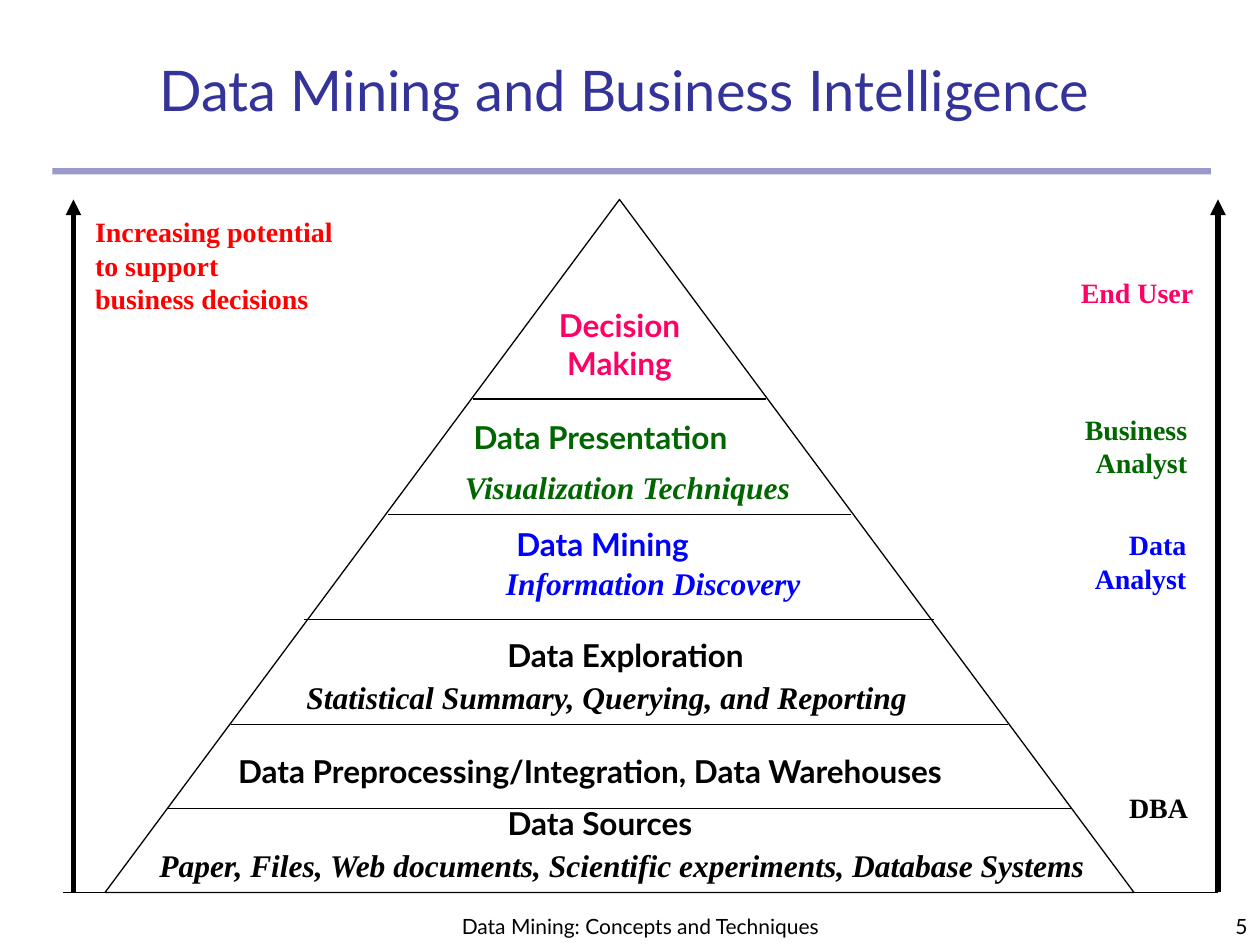
from lxml import etree
from pptx import Presentation
from pptx.dml.color import RGBColor
from pptx.enum.shapes import MSO_CONNECTOR, MSO_SHAPE
from pptx.enum.text import MSO_ANCHOR, PP_ALIGN
from pptx.oxml.ns import qn
from pptx.util import Pt

LEFT, MID, RIGHT = PP_ALIGN.LEFT, PP_ALIGN.CENTER, PP_ALIGN.RIGHT
TOP, CENTER, BOTTOM = MSO_ANCHOR.TOP, MSO_ANCHOR.MIDDLE, MSO_ANCHOR.BOTTOM
STRAIGHT = MSO_CONNECTOR.STRAIGHT
SANS, SERIF = "Lato", "Times New Roman"
BLACK, NAVY, RED = "000000", "333399", "FF0000"
PINK, GREEN, BLUE = "FF0066", "006600", "0000FF"

APEX, PEAK, BASE, HALF = 354, 114, 510, 294
LEVELS = [(228, 84), (294, 132), (354, 180), (414, 222), (462, 258)]
ARROWS = [42, 696]

LAYERS = [
    ("Decision Making", 306, 171.5, 96, PINK, MID),
    ("Data Presentation", 263.5, 235.5, 179, GREEN, LEFT),
    ("Data Mining", 288, 296.5, 140, BLUE, LEFT),
    ("Data Exploration", 265, 360, 185, BLACK, MID),
    ("Data Preprocessing/Integration, Data Warehouses", 129, 426, 468, BLACK, LEFT),
    ("Data Sources", 283, 456, 132, BLACK, LEFT),
]
DETAILS = [
    ("Visualization Techniques", 258.5, 264, 203, GREEN),
    ("Information Discovery", 282, 318.5, 183, BLUE),
    ("Statistical Summary, Querying, and Reporting", 168, 384, 360, BLACK),
    ("Paper, Files, Web documents, Scientific experiments, Database Systems",
     84, 480, 561, BLACK),
]
ROLES = [
    ("End User", 689, 154, PINK),
    ("Business\nAnalyst", 685.5, 232, GREEN),
    ("Data\nAnalyst", 685, 298, BLUE),
    ("DBA", 686, 448, BLACK),
]

deck = Presentation()
deck.slide_width, deck.slide_height = Pt(720), Pt(540)
slide = deck.slides.add_slide(deck.slide_layouts[6])
shapes = slide.shapes


def tint(code):
    return RGBColor.from_string(code)


def write(text, x, y, w, h=29, size=18, face=SANS, color=BLACK,
          bold=True, slant=False, align=LEFT, anchor=TOP):
    box = shapes.add_textbox(Pt(x), Pt(y), Pt(w), Pt(h))
    frame = box.text_frame
    frame.word_wrap = True
    frame.vertical_anchor = anchor
    if align == LEFT:
        frame.margin_right = 0
    elif align == RIGHT:
        frame.margin_left = 0
    for n, line in enumerate(text.split("\n")):
        para = frame.add_paragraph() if n else frame.paragraphs[0]
        para.alignment = align
        run = para.add_run()
        run.text = line
        font = run.font
        font.name, font.size = face, Pt(size)
        font.bold, font.italic = bold, slant
        font.color.rgb = tint(color)


def rule(x1, y1, x2, y2, width=0.75, head=False):
    line = shapes.add_connector(STRAIGHT, Pt(x1), Pt(y1), Pt(x2), Pt(y2))
    line.line.color.rgb = tint(BLACK)
    line.line.width = Pt(width)
    if head:
        etree.SubElement(line.line._get_or_add_ln(), qn("a:tailEnd"), type="triangle")
    etree.SubElement(line._element.spPr, qn("a:effectLst"))


bar = shapes.add_shape(MSO_SHAPE.RECTANGLE, Pt(30), Pt(96), Pt(662), Pt(3.6))
bar.shadow.inherit = False
bar.fill.solid()
bar.fill.fore_color.rgb = tint("9999CC")
bar.line.fill.background()

write("Data Mining and Business Intelligence", 15, 30, 684, 42, size=32,
      color=NAVY, bold=False, align=MID, anchor=CENTER)
write("Data Mining: Concepts and Techniques", 252, 498, 228, 42, size=12,
      bold=False, align=MID, anchor=BOTTOM)
write("5", 570, 504, 150, 36, size=12, bold=False, align=RIGHT, anchor=BOTTOM)

cone = shapes.add_shape(MSO_SHAPE.FLOWCHART_EXTRACT, Pt(APEX - HALF), Pt(PEAK),
                        Pt(2 * HALF), Pt(BASE - PEAK))
cone.shadow.inherit = False
cone.fill.background()
cone.line.color.rgb = tint(BLACK)
cone.line.width = Pt(0.75)

for y, reach in LEVELS:
    rule(APEX - reach, y, APEX + reach, y)
for x in ARROWS:
    rule(x, BASE, x, PEAK, width=3, head=True)
rule(36, BASE, 696, BASE)

write("Increasing potential\nto support\nbusiness decisions", 47.25, 119, 150, 65,
      size=16, face=SERIF, color=RED)
for text, end, y, color in ROLES:
    write(text, end - 80, y, 80, size=16, face=SERIF, color=color, align=RIGHT)
for text, x, y, w, color, align in LAYERS:
    write(text, x, y, w, color=color, align=align)
for text, x, y, w, color in DETAILS:
    write(text, x, y, w, face=SERIF, color=color, slant=True)

deck.save("out.pptx")
